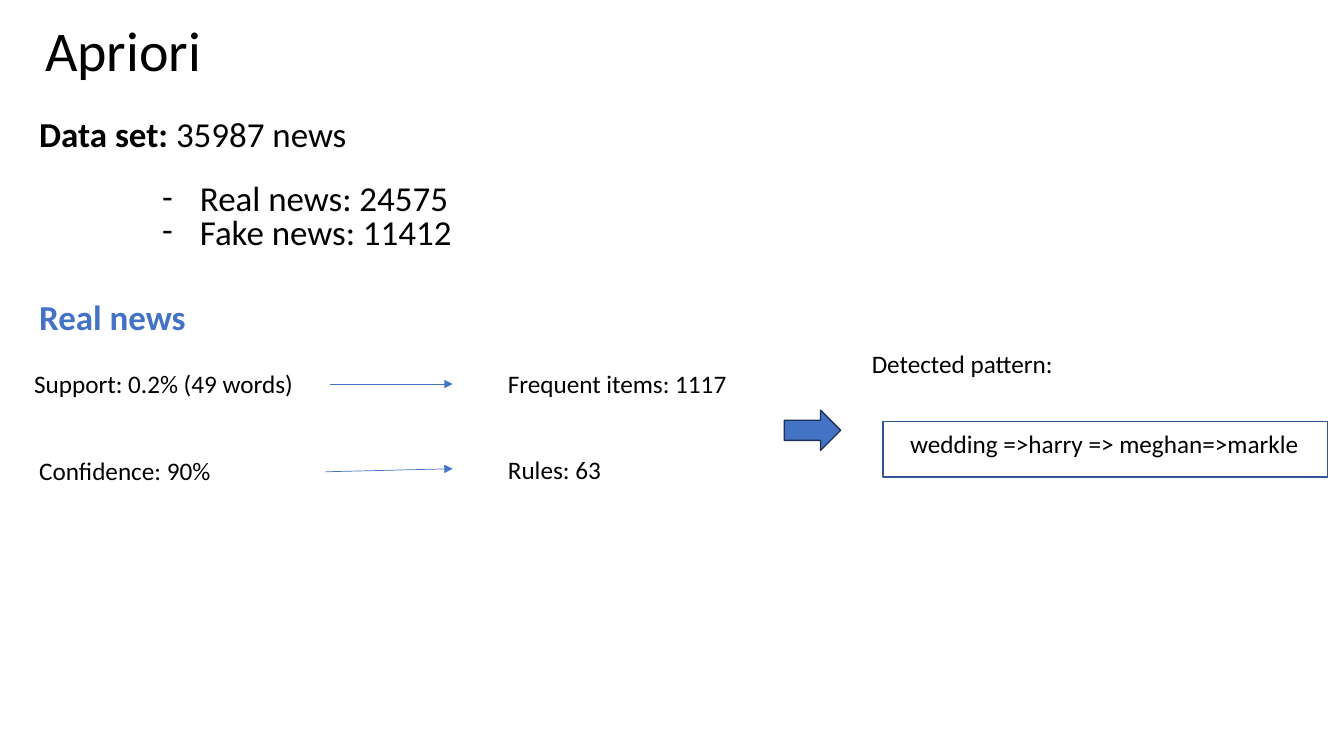
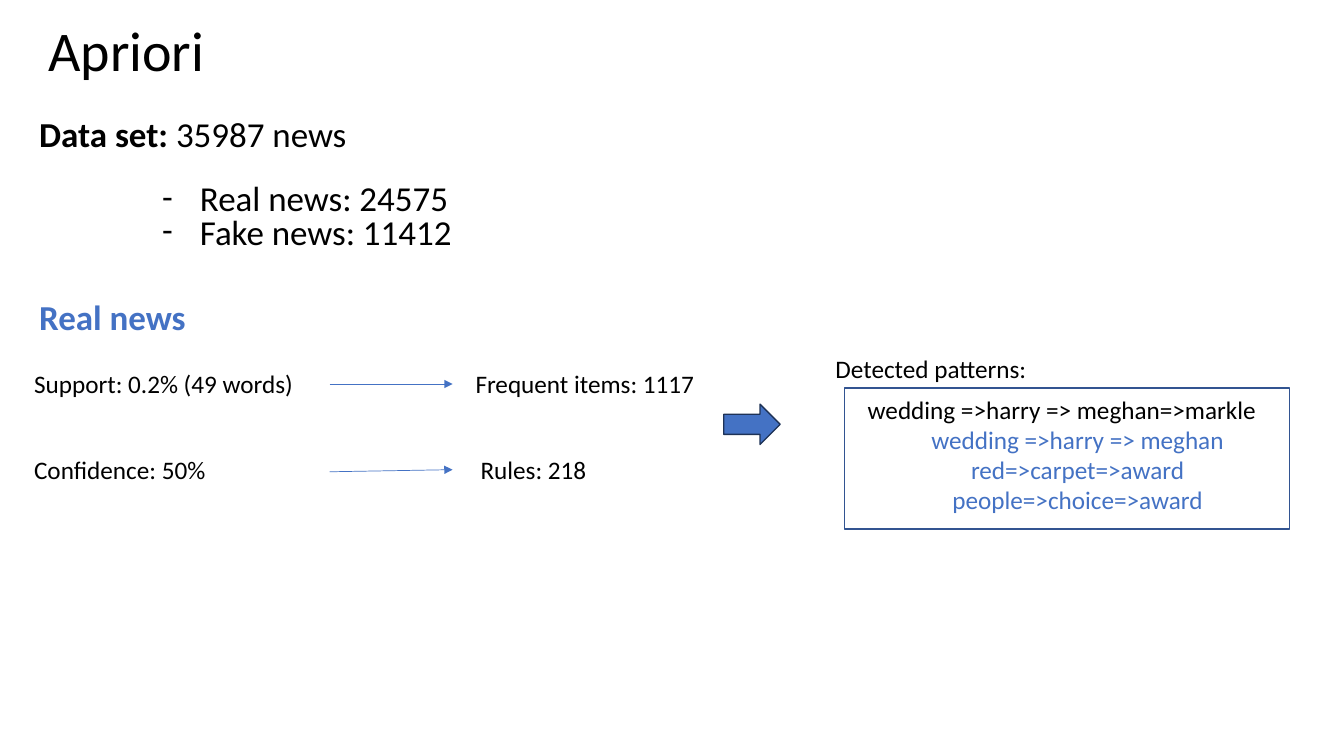
from lxml import etree
from pptx import Presentation
from pptx.dml.color import RGBColor
from pptx.enum.shapes import MSO_CONNECTOR, MSO_SHAPE
from pptx.enum.text import MSO_ANCHOR, PP_ALIGN
from pptx.oxml.ns import qn
from pptx.util import Pt

LINE = MSO_CONNECTOR.STRAIGHT
RECT = MSO_SHAPE.RECTANGLE
ARROW = MSO_SHAPE.RIGHT_ARROW
LOW, TOP = MSO_ANCHOR.BOTTOM, MSO_ANCHOR.TOP
LEFT, MID = PP_ALIGN.LEFT, PP_ALIGN.CENTER
BLACK, BLUE, EDGE, DARK = "000000", "4472C4", "325491", "1E3256"
FONT = "Calibri"


def color(code):
    return RGBColor.from_string(code)


def write(para, text, size=18, tint=BLACK, bold=False):
    run = para.add_run()
    run.text = text
    run.font.name, run.font.size, run.font.bold = FONT, Pt(size), bold
    run.font.color.rgb = color(tint)


class Deck:
    """Holds the shared style and the current slide."""

    def __init__(self):
        self.show = Presentation()
        self.show.slide_width, self.show.slide_height = Pt(960), Pt(540)
        self.slide = None

    def page(self):
        self.slide = self.show.slides.add_slide(self.show.slide_layouts[6])

    def frame(self, x, y, w, h, anchor=TOP):
        box = self.slide.shapes.add_textbox(Pt(x), Pt(y), Pt(w), Pt(h))
        frame = box.text_frame
        frame.word_wrap, frame.vertical_anchor = True, anchor
        return frame

    def label(self, text, x, y, w):
        write(self.frame(x, y, w, 28.8).paragraphs[0], text)

    def head(self, parts, x, y, w, h=38.2):
        para = self.frame(x, y, w, h, LOW).paragraphs[0]
        para.line_spacing = 0.9
        for text, style in parts:
            write(para, text, **style)

    def lines(self, frame, rows, align=LEFT, **style):
        for row in rows:
            fresh = frame.paragraphs[0].runs
            para = frame.add_paragraph() if fresh else frame.paragraphs[0]
            para.alignment = align
            write(para, row, **style)

    def dashes(self, rows, x, y, w, h):
        frame = self.frame(x, y, w, h, LOW)
        self.lines(frame, rows, size=25)
        for para in frame.paragraphs:
            para.line_spacing = 0.8
            props = para._p.get_or_add_pPr()
            props.set("marL", str(Pt(27)))
            props.set("indent", str(Pt(-27)))
            etree.SubElement(props, qn("a:buFont")).set("typeface", FONT)
            etree.SubElement(props, qn("a:buChar")).set("char", "-")

    def shape(self, kind, x, y, w, h, edge, fill=None):
        item = self.slide.shapes.add_shape(kind, Pt(x), Pt(y), Pt(w), Pt(h))
        item.shadow.inherit = False
        if fill:
            item.fill.solid()
            item.fill.fore_color.rgb = color(fill)
        else:
            item.fill.background()
        item.line.color.rgb, item.line.width = color(edge), Pt(1)

    def link(self, x, y, end):
        item = self.slide.shapes.add_connector(LINE, Pt(x), Pt(y), Pt(323.3), Pt(end))
        item.line.color.rgb, item.line.width = color(BLUE), Pt(0.5)
        tail = etree.SubElement(item.line._get_or_add_ln(), qn("a:tailEnd"))
        tail.set("type", "triangle")
        etree.SubElement(item._element.spPr, qn("a:effectLst"))

    def intro(self, left):
        self.head([("Apriori", {"size": 40})], left, 15.8, 218, 47.5)
        self.head([("Data set:", {"size": 25, "bold": True}),
                   (" 35987 news", {"size": 25})], 20.9, 76.3, 267)
        self.dashes(["Real news: 24575", "Fake news: 11412"], 108.7, 123.8, 291.6, 59.8)
        self.head([("Real news", {"size": 25, "bold": True, "tint": BLUE})], 20.9, 206.6, 120)
        self.label("Support: 0.2% (49 words)", 17.3, 259.9, 223.2)
        self.link(235.4, 274.3, 274.3)

    def result(self, trust, items, rules, link, arrow):
        self.label(*trust, 147)
        self.label("Frequent items: 1117", items, 259.9, 191.5)
        self.label(*rules, 321.1, 170.6)
        self.link(*link)
        self.shape(ARROW, *arrow, 40.3, 28.8, DARK, BLUE)

    def found(self, title, frame, words, more=()):
        self.label(*title, 165)
        x, y, h = frame
        self.shape(RECT, x, y, 317.5, h, EDGE)
        text = self.frame(*words, 314, h)
        self.lines(text, ["wedding =>harry => meghan=>markle"])
        self.lines(text, more, MID, tint=BLUE)


def main():
    deck = Deck()
    deck.page()
    deck.intro(25.2)
    deck.result(("Confidence: 90%", 20.9, 321.8), 355.7, ("Rules: 63", 355.7),
                (232.6, 337, 334.8), (560.2, 293))
    deck.found(("Detected pattern:", 615.6, 245.5), (630.7, 301, 39.6), (643, 302.4))

    deck.page()
    deck.intro(27.4)
    deck.result(("Confidence: 50%", 17.3, 321.1), 332.6, ("Rules: 218", 336.2),
                (235.4, 337, 335.5), (517, 288.7))
    deck.found(("Detected patterns:", 589.7, 249.1), (603.4, 277.2, 100.8), (612.7, 277.9),
               ["wedding =>harry => meghan", "red=>carpet=>award", "people=>choice=>award"])
    deck.show.save("out.pptx")


if __name__ == "__main__":
    main()
